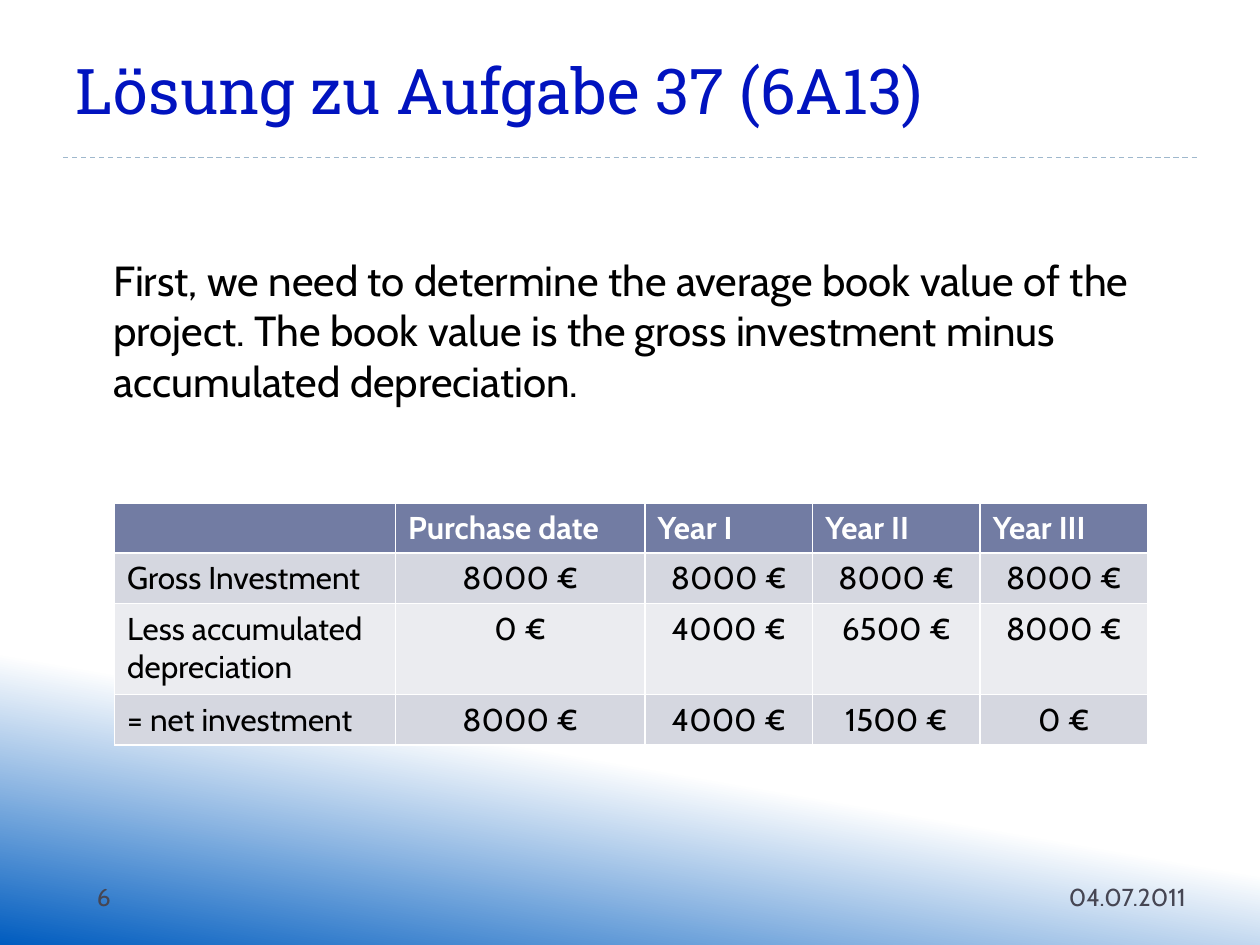
"""Build the slide that works out the average book value of a project."""
from pptx import Presentation, util as u
from pptx.dml.color import RGBColor
from pptx.enum import dml, shapes, text
from pptx.oxml.ns import qn
from lxml import etree


def paint(colour, hex_value):
    colour.rgb = RGBColor.from_string(hex_value)


def write(paragraph, words, size, hex_value, font="Cabin", bold=False, align=text.PP_ALIGN.LEFT):
    paragraph.alignment = align
    run = paragraph.add_run()
    run.text = words
    run.font.size = u.Pt(size)
    run.font.name = font
    run.font.bold = bold
    paint(run.font.color, hex_value)


deck = Presentation()
deck.slide_width, deck.slide_height = u.Inches(10), u.Inches(7.5)
slide = deck.slides.add_slide(deck.slide_layouts[1])
margin = u.Inches(0.5)
content_width = deck.slide_width - 2 * margin

backdrop = slide.background.fill
backdrop.gradient()
backdrop.gradient_angle = 260
for stop, (position, hex_value) in zip(backdrop.gradient_stops, [(0.75, "FFFFFF"), (1, "005CBF")]):
    stop.position = position
    paint(stop.color, hex_value)

rule_y = deck.slide_height // 6
rule = slide.shapes.add_connector(
    shapes.MSO_CONNECTOR.STRAIGHT, margin, rule_y, margin + content_width, rule_y)
rule.line.width = u.Pt(0.75)
rule.line.dash_style = dml.MSO_LINE.DASH
paint(rule.line.color, "9FB8CD")
etree.SubElement(rule._element.spPr, qn("a:effectLst"))

heading = slide.shapes.title
heading.left, heading.top = margin, u.Inches(0.17)
heading.width, heading.height = u.Inches(7.49), u.Inches(1.08)
heading.text_frame.auto_size = text.MSO_AUTO_SIZE.NONE
heading.text_frame.vertical_anchor = text.MSO_ANCHOR.MIDDLE
write(heading.text_frame.paragraphs[0], "Lösung zu Aufgabe 37 (6A13)", 36, "0113BF", "Roboto Slab")

explanation = slide.placeholders[1]
explanation.left, explanation.top = margin, u.Inches(1.33)
explanation.width, explanation.height = content_width, u.Inches(5.4)
explanation.text_frame.auto_size = text.MSO_AUTO_SIZE.NONE
explanation.text_frame.margin_top = u.Inches(0.69)
statement = explanation.text_frame.paragraphs[0]
statement.space_before = u.Pt(0)
write(statement, "First, we need to determine the average book value of the project. "
      "The book value is the gross investment minus accumulated depreciation.", 24, "000000")
indent = statement._p.get_or_add_pPr()
indent.set("marL", str(u.Inches(0.3)))
indent.set("indent", "0")
etree.SubElement(indent, qn("a:buNone"))

for words, left, width, align in [
    ("04.07.2011", 8.31, 1.2, text.PP_ALIGN.RIGHT),
    ("6", 0.67, 0.79, text.PP_ALIGN.LEFT),
]:
    footer = slide.shapes.add_textbox(u.Inches(left), u.Inches(6.95), u.Inches(width), u.Inches(0.4))
    footer.text_frame.word_wrap = True
    write(footer.text_frame.paragraphs[0], words, 14, "464653", align=align)

book_values = [
    ("", "Purchase date", "Year I", "Year II", "Year III"),
    ("Gross Investment", "8000 €", "8000 €", "8000 €", "8000 €"),
    ("Less accumulated depreciation", "0 €", "4000 €", "6500 €", "8000 €"),
    ("= net investment", "8000 €", "4000 €", "1500 €", "0 €"),
]
column_widths = [2.23, 1.98, 1.33, 1.33, 1.33]
row_heights = [0.4, 0.4, 0.72, 0.4]
row_fills = ["727CA3", "D5D7E0", "EBECF0", "D5D7E0"]
schedule = slide.shapes.add_table(
    len(row_heights), len(column_widths), u.Inches(0.91), u.Inches(3.99),
    u.Inches(sum(column_widths)), u.Inches(sum(row_heights))).table
for column, width in zip(schedule.columns, column_widths):
    column.width = u.Inches(width)
for r, entries in enumerate(book_values):
    schedule.rows[r].height = u.Inches(row_heights[r])
    for c, entry in enumerate(entries):
        cell = schedule.cell(r, c)
        cell.fill.solid()
        paint(cell.fill.fore_color, row_fills[r])
        if entry:
            write(cell.text_frame.paragraphs[0], entry, 18, "000000" if r else "FFFFFF", bold=r == 0,
                  align=text.PP_ALIGN.CENTER if r and c else text.PP_ALIGN.LEFT)

deck.save("out.pptx")
